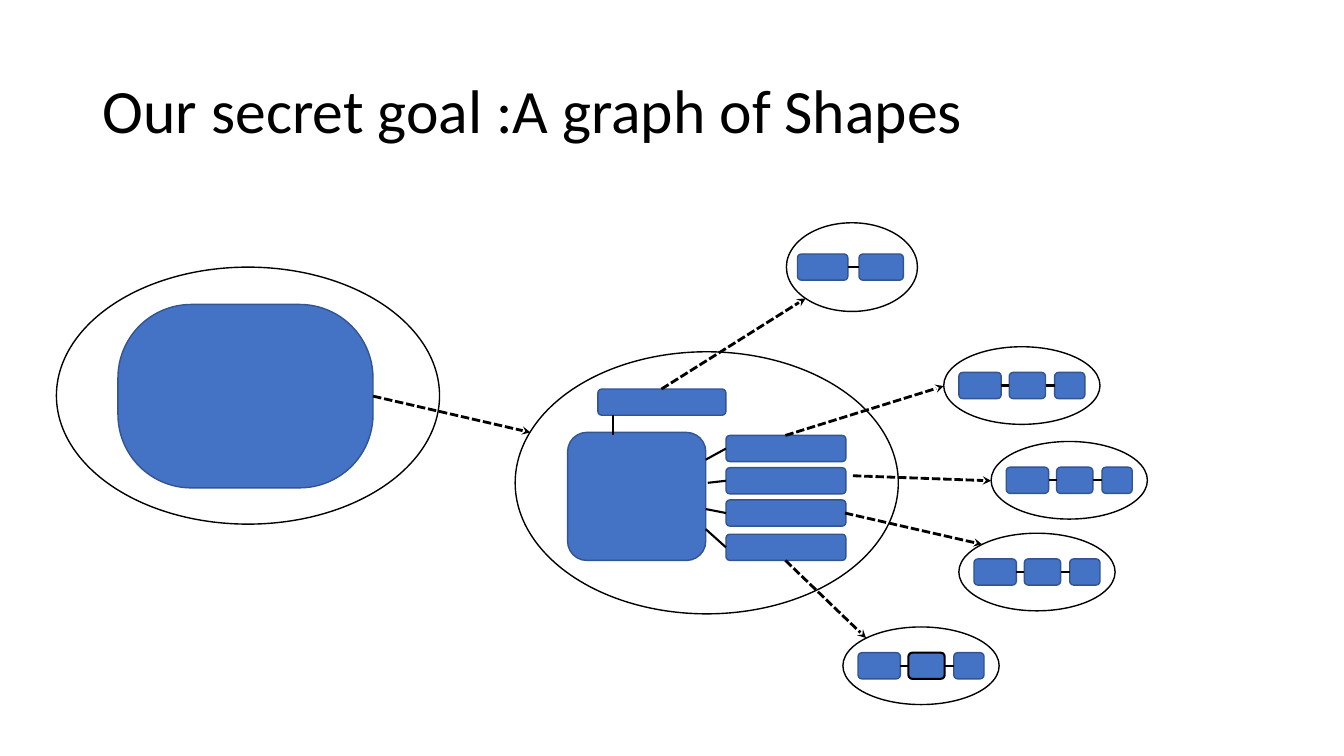
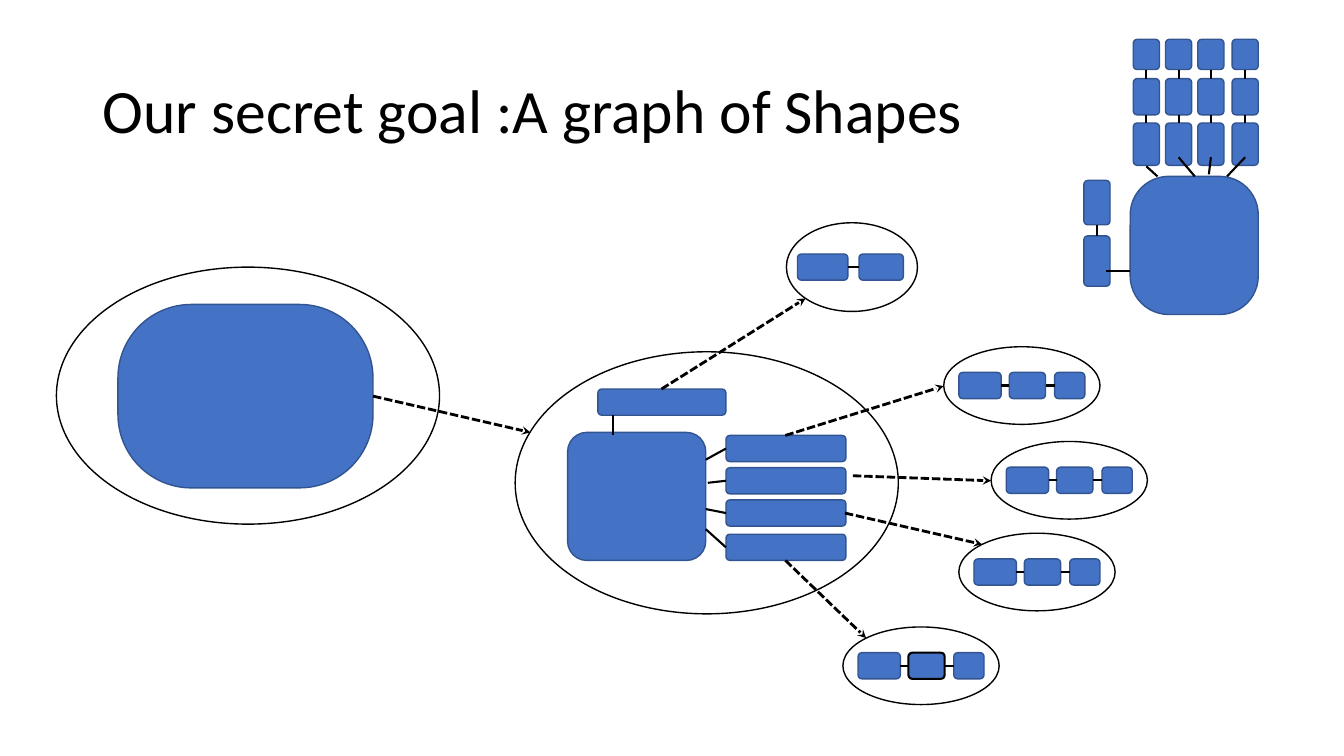
from dataclasses import dataclass
from itertools import pairwise

from pptx import Presentation
from pptx import util as u
from pptx.dml.color import RGBColor
from pptx.enum import dml, shapes, text
from pptx.oxml.ns import qn
from lxml import etree


@dataclass(frozen=True)
class Theme:
    fill: RGBColor = RGBColor(0x44, 0x72, 0xC4)
    edge: RGBColor = RGBColor(0x32, 0x54, 0x91)
    ink: RGBColor = RGBColor(0, 0, 0)
    font: str = "Calibri"
    title_size: float = 44
    outline: float = 1
    link: float = 1.5
    arrow: float = 2


T = Theme()
TITLE = "Our secret goal :A graph of Shapes"
BAR = 0.26          # thickness of every finger segment
ROUND = 0.15        # usual corner rounding

# Ellipse (left, top, width, height), then (offset, length) of each segment
FINGER = [(0.15, 0.42), (0.65, 0.36), (1.1, 0.3)]
DIGITS = [
    ((7.8, 2.21, 1.3, 0.88), [(0.11, 0.5), (0.72, 0.44)]),
    ((9.36, 3.44, 1.55, 0.77), FINGER),
    ((9.83, 4.38, 1.55, 0.77), FINGER),
    ((9.51, 5.29, 1.55, 0.77), FINGER),
    ((8.36, 6.22, 1.55, 0.77), FINGER),
]
BAR_TOPS = [4.32, 4.64, 4.96, 5.3]
PALM_LINKS = [
    (6.08, 4.32, 6.08, 4.12),
    (7, 4.56, 7.2, 4.45),
    (7.02, 4.79, 7.2, 4.77),
    (7, 5.05, 7.2, 5.09),
    (7, 5.25, 7.2, 5.43),
]
ARROWS = [
    (3.7, 3.93, 5.26, 4.29),
    (6.56, 3.86, 7.99, 2.96),
    (7.79, 4.32, 9.36, 3.83),
    (8.46, 4.72, 9.83, 4.77),
    (8.38, 5.09, 9.74, 5.4),
    (7.79, 5.56, 8.59, 6.33),
]
# Upright hand: finger centre, then where its knuckle link meets the palm
HAND_FINGERS = [
    (11.37, 11.48, 1.75, 1.65),
    (11.69, 11.85, 1.75, 1.56),
    (12.01, 11.99, 1.73, 1.56),
    (12.35, 12.17, 1.75, 1.56),
]
FINGER_ROWS = [(0.39, 0.3), (0.78, 0.36), (1.22, 0.42)]
THUMB_ROWS = [(1.79, 0.44), (2.34, 0.5)]
THUMB_X = 10.88


def block(parent, box, rounding=None):
    """Add a filled rounded block, or an open ellipse if no rounding is given."""
    kind = shapes.MSO_SHAPE.OVAL if rounding is None else shapes.MSO_SHAPE.ROUNDED_RECTANGLE
    sp = parent.shapes.add_shape(kind, *map(u.Inches, box))
    sp.shadow.inherit = False
    sp.line.width = u.Pt(T.outline)
    if rounding is None:
        sp.fill.background()
        sp.line.color.rgb = T.ink
    else:
        sp.adjustments[0] = rounding
        sp.fill.solid()
        sp.fill.fore_color.rgb = T.fill
        sp.line.color.rgb = T.edge
    return sp


def link(parent, ends, arrow=False):
    """Add a plain link, or a dashed arrow, along (x1, y1, x2, y2)."""
    cx = parent.shapes.add_connector(shapes.MSO_CONNECTOR.STRAIGHT, *map(u.Inches, ends))
    cx.line.color.rgb = T.ink
    cx.line.width = u.Pt(T.arrow if arrow else T.link)
    if arrow:
        cx.line.dash_style = dml.MSO_LINE.SQUARE_DOT
        etree.SubElement(cx.line._get_or_add_ln(), qn("a:tailEnd"), type="stealth")
    etree.SubElement(cx._element.spPr, qn("a:effectLst"))


prs = Presentation()
prs.slide_width, prs.slide_height = u.Inches(13.33), u.Inches(7.5)

for with_hand in (False, True):
    s = prs.slides.add_slide(prs.slide_layouts[5])

    # Title
    title = s.shapes.title
    place = {"left": 0.92, "top": 0.4, "width": 11.5, "height": 1.45}
    for name, value in place.items():
        setattr(title, name, u.Inches(value))
    tf = title.text_frame
    tf.word_wrap = True
    tf.vertical_anchor = text.MSO_ANCHOR.MIDDLE
    p = tf.paragraphs[0]
    p.alignment = text.PP_ALIGN.LEFT
    p.line_spacing = 0.9
    r = p.add_run()
    r.text = TITLE
    for name, value in {"name": T.font, "size": u.Pt(T.title_size)}.items():
        setattr(r.font, name, value)
    r.font.color.rgb = T.ink

    # Whole shape on the left
    block(s, (1.17, 3.02, 2.53, 1.82), 0.4)
    block(s, (0.56, 2.65, 3.8, 2.55))

    # Palm with one bar per digit
    palm = s.shapes.add_group_shape()
    block(palm, (5.63, 4.29, 1.37, 1.27), ROUND)
    block(palm, (5.93, 3.86, 1.27, BAR), ROUND)
    for top in BAR_TOPS:
        block(palm, (7.2, top, 1.19, BAR), ROUND)
    for ends in PALM_LINKS:
        link(palm, ends)
    block(palm, (5.11, 3.49, 3.8, 2.6))

    # Each digit split into its segments
    for oval, segments in DIGITS:
        digit = s.shapes.add_group_shape()
        left, top, _, height = oval
        middle = top + height / 2
        bones = [block(digit, (left + dx, middle - BAR / 2, length, BAR), ROUND)
                 for dx, length in segments]
        for (dx, length), (next_dx, _) in pairwise(segments):
            link(digit, (left + dx + length, middle, left + next_dx, middle))
        block(digit, oval)
    bones[1].line.color.rgb = T.ink     # highlighted segment of the last digit
    bones[1].line.width = u.Pt(T.link)

    for ends in ARROWS:
        link(s, ends, arrow=True)

    # Assembled hand
    if with_hand:
        hand = s.shapes.add_group_shape()
        block(hand, (11.21, 1.75, 1.27, 1.37), 0.3)
        columns = [(x, FINGER_ROWS) for x, *_ in HAND_FINGERS] + [(THUMB_X, THUMB_ROWS)]
        for x, rows in columns:
            for top, length in rows:
                block(hand, (x - BAR / 2, top, BAR, length), ROUND)
            for (top, length), (next_top, _) in pairwise(rows):
                link(hand, (x, top + length, x, next_top))
        for x, palm_x, palm_y, finger_y in HAND_FINGERS:
            link(hand, (palm_x, palm_y, x, finger_y))
        link(hand, (11.21, 2.69, 10.97, 2.69))

prs.save("out.pptx")
